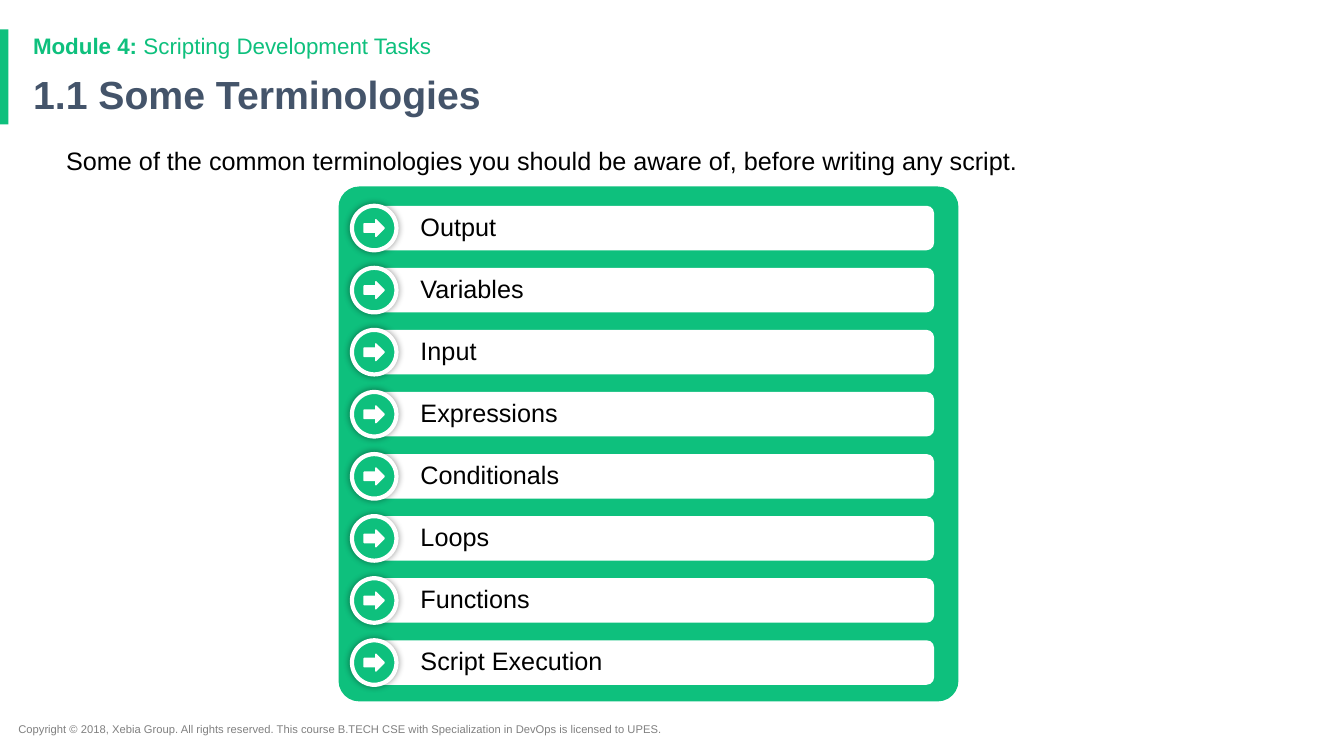
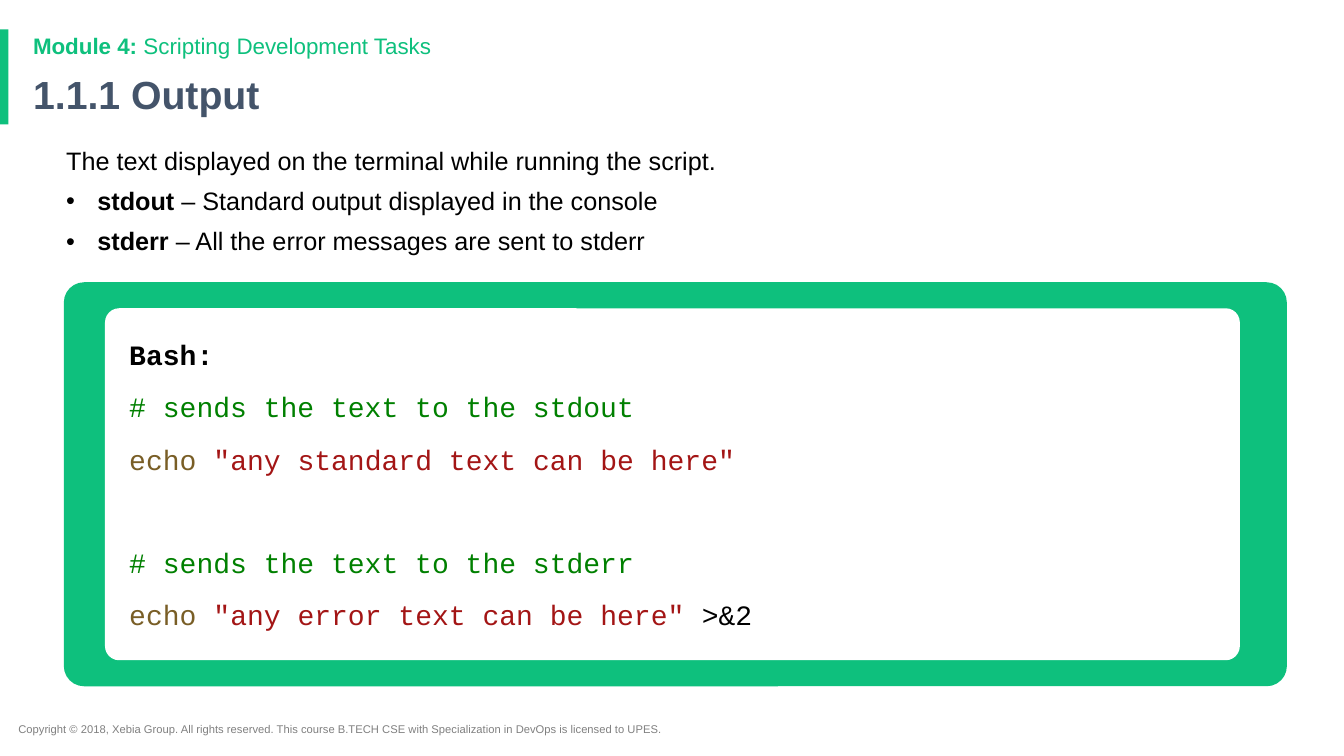
"""Build two slides on scripting terminology and shell output."""
from lxml import etree
from pptx import Presentation, util as u
from pptx.dml.color import RGBColor
from pptx.enum import shapes, text
from pptx.oxml import ns

GREEN, SLATE, GREY = "0EC07D", "44546A", "808080"
WHITE, BLACK = "FFFFFF", "000000"
COMMENT, COMMAND, STRING = "008000", "795E26", "A31515"
SANS, MONO = "Arial", "Courier New"
MODULE = [("Module 4:", GREEN, True), (" Scripting Development Tasks", GREEN, False)]
COPYRIGHT = ("Copyright © 2018, Xebia Group. All rights reserved. This course "
             "B.TECH CSE with Specialization in DevOps is licensed to UPES.")
TERMS = ["Output", "Variables", "Input", "Expressions", "Conditionals",
         "Loops", "Functions", "Script Execution"]


def colour(value):
    """Turn a hex string into a colour."""
    return RGBColor.from_string(value)


def add_child(parent, tag, **attributes):
    """Append a drawing element to a parent element."""
    return etree.SubElement(parent, ns.qn(tag), attributes)


class Deck:
    """Hold the shared style and the current slide on a 160 by 90 grid."""

    COLUMNS, ROWS = 160, 90

    def __init__(self):
        """Start a widescreen presentation."""
        self.deck = Presentation()
        self.deck.slide_width = u.Inches(13.33)
        self.deck.slide_height = u.Inches(7.5)
        self.page = None

    def area(self, column, row, columns, rows):
        """Convert grid cells to left, top, width and height."""
        across = self.deck.slide_width / self.COLUMNS
        down = self.deck.slide_height / self.ROWS
        return (round(column * across), round(row * down),
                round(columns * across), round(rows * down))

    def new_page(self, title):
        """Add a slide with its band, title, module line and copyright."""
        self.page = self.deck.slides.add_slide(self.deck.slide_layouts[5])
        self.shape(shapes.MSO_SHAPE.RECTANGLE, (0, 3.5, 1, 11.3), GREEN)
        heading = self.page.shapes.title
        place = self.area(2.75, 8.3, 138, 6.5)
        heading.left, heading.top, heading.width, heading.height = place
        self.frame(heading, text.MSO_ANCHOR.MIDDLE)
        self.para(heading, [(title, SLATE, True)], 28)
        module = self.text_box((2.75, 3.6, 138, 4), text.MSO_ANCHOR.MIDDLE)
        self.para(module, MODULE, 16)
        footer = self.text_box((1, 85.4, 85.6, 2.9))
        self.para(footer, [(COPYRIGHT, GREY, False)], 8, spacing=1)

    def frame(self, box, anchor, inset=None):
        """Set wrapping, anchor and optional left and top insets."""
        frame = box.text_frame
        frame.word_wrap = True
        frame.auto_size = text.MSO_AUTO_SIZE.NONE
        frame.vertical_anchor = anchor
        if inset:
            frame.margin_left, frame.margin_top = map(u.Inches, inset)
            frame.margin_right = frame.margin_bottom = 0

    def text_box(self, place, anchor=text.MSO_ANCHOR.TOP):
        """Add a wrapping text box."""
        box = self.page.shapes.add_textbox(*self.area(*place))
        self.frame(box, anchor)
        return box

    def shape(self, kind, place, fill, line=None, width=1, corner=None):
        """Add a flat preset shape."""
        box = self.page.shapes.add_shape(kind, *self.area(*place))
        box.shadow.inherit = False
        box.fill.solid()
        box.fill.fore_color.rgb = colour(fill)
        if line:
            box.line.color.rgb = colour(line)
            box.line.width = u.Pt(width)
        else:
            box.line.fill.background()
        if corner is not None:
            box.adjustments[0] = corner
        return box

    def panel(self, place, fill, corner=None):
        """Add a rounded panel."""
        return self.shape(shapes.MSO_SHAPE.ROUNDED_RECTANGLE, place, fill, corner=corner)

    def para(self, box, spans, size, font=SANS, spacing=0.9, before=0, after=0, bullet=False):
        """Fill the empty first paragraph or append another, run by run."""
        frame = box.text_frame
        para = frame.paragraphs[0] if not frame.text else frame.add_paragraph()
        para.alignment = text.PP_ALIGN.LEFT
        para.line_spacing = spacing
        para.space_before, para.space_after = u.Pt(before), u.Pt(after)
        if bullet:
            properties = para._p.get_or_add_pPr()
            properties.set("marL", str(u.Inches(0.31)))
            properties.set("indent", str(-u.Inches(0.31)))
            add_child(properties, "a:buFont", typeface=SANS)
            add_child(properties, "a:buChar", char="•")
        for words, ink, bold in spans:
            span = para.add_run()
            span.text = words
            span.font.name, span.font.size = font, u.Pt(size)
            span.font.bold = bold
            span.font.color.rgb = colour(ink)

    def badge(self, column, row, size):
        """Add a softly shadowed circle with a centred right arrow."""
        circle = self.shape(shapes.MSO_SHAPE.OVAL, (column, row, size, size), GREEN, WHITE, 3)
        effects = circle._element.spPr.find(ns.qn("a:effectLst"))
        shadow = add_child(effects, "a:outerShdw", blurRad=str(u.Pt(5)), dist="0",
                           dir="0", algn="ctr", rotWithShape="0")
        add_child(add_child(shadow, "a:srgbClr", val=BLACK), "a:alpha", val="40000")
        wide, high = 2.4, 2
        place = (column + (size - wide) / 2, row + (size - high) / 2, wide, high)
        self.shape(shapes.MSO_SHAPE.RIGHT_ARROW, place, WHITE, WHITE)

    def term(self, row, name):
        """Add one labelled list row with its badge."""
        label = self.panel((43.8, row, 67.4, 5.3), WHITE)
        self.frame(label, text.MSO_ANCHOR.MIDDLE, (0.5, 0))
        self.para(label, [(name, BLACK, False)], 18)
        self.badge(41.9, row, 5.3)


def main():
    """Build and save the slides."""
    deck = Deck()

    deck.new_page("1.1 Some Terminologies")
    intro = deck.text_box((6.7, 17.15, 135, 4.6))
    deck.para(intro, [("Some of the common terminologies you should be aware of, "
                       "before writing any script.", BLACK, False)], 18)
    deck.panel((40.3, 22.2, 73.8, 61.3), GREEN, 0.04)
    for index, name in enumerate(TERMS):
        deck.term(24.5 + index * 7.39, name)

    deck.new_page("1.1.1 Output")
    intro = deck.text_box((6.7, 17.15, 135, 15))
    deck.para(intro, [("The text displayed on the terminal while running the script.",
                       BLACK, False)], 18, after=9.2)
    for stream, meaning in [("stdout", "Standard output displayed in the console"),
                            ("stderr", "All the error messages are sent to stderr")]:
        deck.para(intro, [(stream, BLACK, True), (f" – {meaning}", BLACK, False)],
                  18, after=9.2, bullet=True)
    deck.panel((7.6, 33.6, 145.6, 48.1), GREEN, 0.05)
    code = deck.panel((12.5, 36.7, 135.1, 41.9), WHITE, 0.04)
    deck.frame(code, text.MSO_ANCHOR.TOP, (0.2, 0.25))
    line_gap, block_gap = 13.4, 49.5
    for before, spans in [
        (0, [("Bash:", BLACK, True)]),
        (line_gap, [("# sends the text to the stdout", COMMENT, False)]),
        (line_gap, [("echo ", COMMAND, False),
                    ('"any standard text can be here"', STRING, False)]),
        (block_gap, [("# sends the text to the stderr", COMMENT, False)]),
        (line_gap, [("echo ", COMMAND, False),
                    ('"any error text can be here"', STRING, False),
                    (" >&2", BLACK, False)]),
    ]:
        deck.para(code, spans, 20, MONO, 1, before)

    deck.deck.save("out.pptx")


if __name__ == "__main__":
    main()
